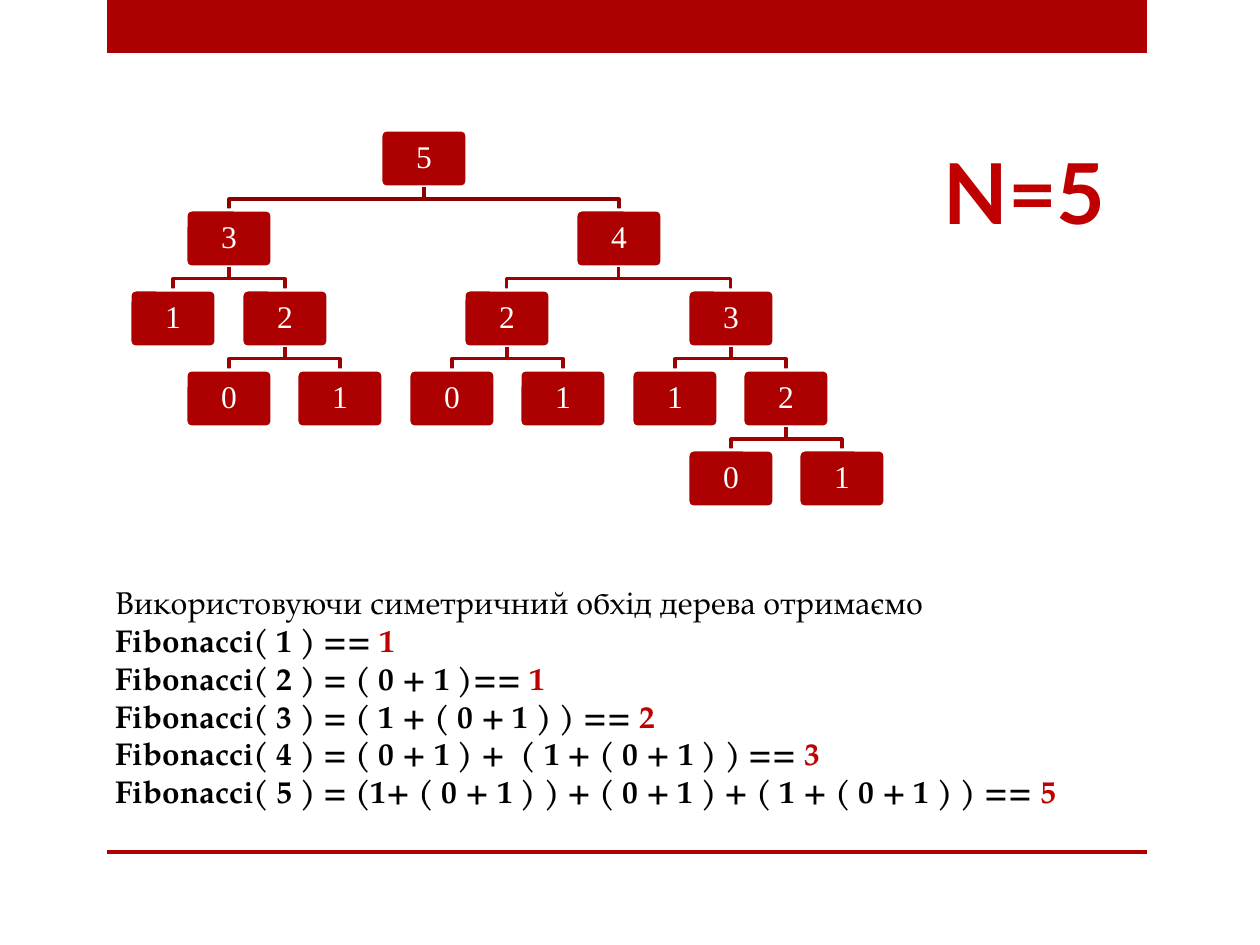
from dataclasses import dataclass

import pptx
import pptx.dml.color
import pptx.enum.shapes
import pptx.enum.text
import pptx.util

SCALE = 914400 / 126  # EMU in one px
RED, DARK, DEEP = "AD0101", "9D0101", "8B0101"
ACCENT, BLACK, WHITE = "C00000", "000000", "FFFFFF"
SERIF = "TeX Gyre Pagella"

BOX_W, BOX_H = 86, 57
LEFT, TOP = 173, 130  # centre of column 0, top of row 0
SPAN, COLS = 669, 12
ROW = 80


@dataclass(frozen=True)
class Node:
    label: str
    col: float
    kids: tuple["Node", ...] = ()


@dataclass(frozen=True)
class Line:
    text: str
    value: str = ""
    bold: bool = True


TREE = Node("5", 4.5, (
    Node("3", 1, (
        Node("1", 0),
        Node("2", 2, (Node("0", 1), Node("1", 3))),
    )),
    Node("4", 8, (
        Node("2", 6, (Node("0", 5), Node("1", 7))),
        Node("3", 10, (
            Node("1", 9),
            Node("2", 11, (Node("0", 10), Node("1", 12))),
        )),
    )),
))

LINES = (
    Line("Використовуючи симетричний обхід дерева отримаємо", bold=False),
    Line("Fibonacci( 1 ) == ", "1"),
    Line("Fibonacci( 2 ) = ( 0 + 1 )== ", "1"),
    Line("Fibonacci( 3 ) = ( 1 + ( 0 + 1 ) ) == ", "2"),
    Line("Fibonacci( 4 ) = ( 0 + 1 ) +  ( 1 + ( 0 + 1 ) ) == ", "3"),
    Line("Fibonacci( 5 ) = (1+ ( 0 + 1 ) ) + ( 0 + 1 ) + ( 1 + ( 0 + 1 ) ) == ", "5"),
)


def emu(px: int) -> pptx.util.Emu:
    return pptx.util.Emu(round(px * SCALE))


def color(code: str) -> pptx.dml.color.RGBColor:
    return pptx.dml.color.RGBColor.from_string(code)


def style(run, face: str, size: int, code: str, bold: bool = False) -> None:
    run.font.name = face
    run.font.size = pptx.util.Pt(size)
    run.font.bold = bold
    run.font.color.rgb = color(code)


def stroke(shape, code: str) -> None:
    shape.line.color.rgb = color(code)
    shape.line.width = pptx.util.Pt(1.75)


def add_block(slide, kind, x: int, y: int, w: int, h: int):
    """Add a red shape without outline or shadow."""
    shape = slide.shapes.add_shape(kind, emu(x), emu(y), emu(w), emu(h))
    shape.shadow.inherit = False
    shape.fill.solid()
    shape.fill.fore_color.rgb = color(RED)
    shape.line.fill.background()
    return shape


def add_frame(slide, x: int, y: int, w: int, h: int):
    """Add a wrapping text box that grows with its text."""
    box = slide.shapes.add_textbox(emu(x), emu(y), emu(w), emu(h))
    frame = box.text_frame
    frame.word_wrap = True
    frame.auto_size = pptx.enum.text.MSO_AUTO_SIZE.SHAPE_TO_FIT_TEXT
    return frame


def center(node: Node) -> int:
    return LEFT + round(node.col * SPAN / COLS)


def add_edge(slide, node: Node, kid: Node, row: int) -> None:
    start, end = center(node), center(kid)
    top = TOP + row * ROW + BOX_H
    low = TOP + (row + 1) * ROW
    mid = (top + low + 1) // 2
    path = slide.shapes.build_freeform(start, top, scale=SCALE)
    path.add_line_segments([(start, mid), (end, mid), (end, low)], close=False)
    edge = path.convert_to_shape()
    edge.shadow.inherit = False
    edge.fill.background()
    stroke(edge, DARK if row else DEEP)


def add_node(slide, node: Node, row: int = 0) -> None:
    """Draw a node, then its edges and subtrees."""
    box = add_block(slide, pptx.enum.shapes.MSO_SHAPE.ROUNDED_RECTANGLE,
                    center(node) - BOX_W // 2, TOP + row * ROW, BOX_W, BOX_H)
    box.adjustments[0] = 0.1
    stroke(box, WHITE)
    frame = box.text_frame
    frame.margin_left = frame.margin_right = emu(9)
    frame.margin_top = frame.margin_bottom = emu(9)
    frame.vertical_anchor = pptx.enum.text.MSO_ANCHOR.MIDDLE
    frame.text = node.label
    para = frame.paragraphs[0]
    para.alignment = pptx.enum.text.PP_ALIGN.CENTER
    para.line_spacing = 0.9
    style(para.runs[0], "Times New Roman", 18, WHITE)
    for kid in node.kids:
        add_edge(slide, node, kid, row)
        add_node(slide, kid, row + 1)


def add_lines(slide) -> None:
    frame = add_frame(slide, 103, 577, 1043, 242)
    frame.text = "\n".join(line.text for line in LINES)
    for para, line in zip(frame.paragraphs, LINES):
        style(para.runs[0], SERIF, 18, BLACK, line.bold)
        if line.value:
            run = para.add_run()
            run.text = line.value
            style(run, SERIF, 18, ACCENT, line.bold)


def main() -> None:
    deck = pptx.Presentation()
    deck.slide_width, deck.slide_height = emu(1260), emu(945)
    slide = deck.slides.add_slide(deck.slide_layouts[6])

    for y, h in ((0, 53), (850, 4)):
        add_block(slide, pptx.enum.shapes.MSO_SHAPE.RECTANGLE, 107, y, 1040, h)
    add_lines(slide)
    add_node(slide, TREE)

    title = add_frame(slide, 931, 134, 287, 115)
    title.text = "N=5"
    style(title.paragraphs[0].runs[0], "Lato", 48, ACCENT, True)

    deck.save("out.pptx")


if __name__ == "__main__":
    main()
